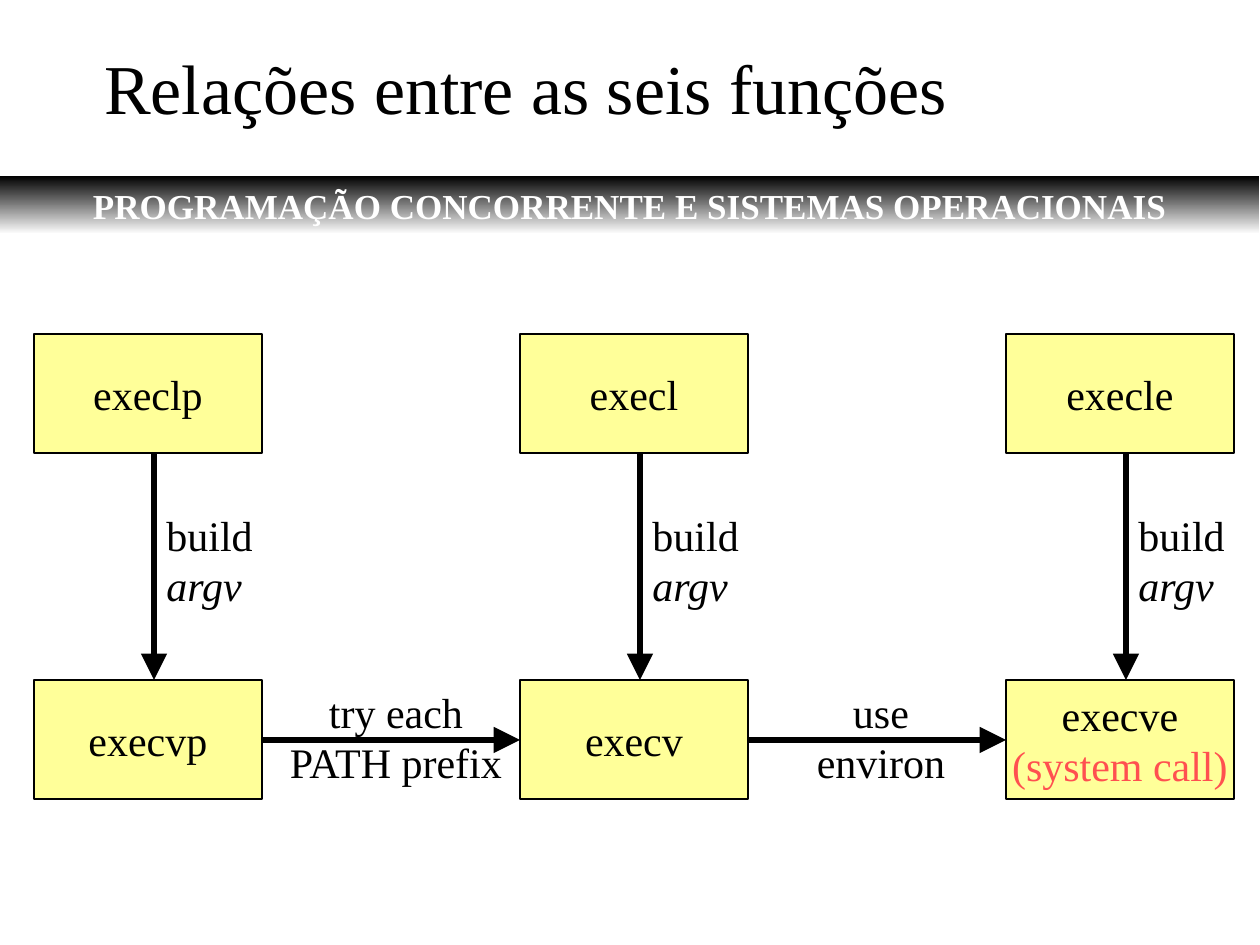
from typing import NamedTuple

from lxml.etree import SubElement
from pptx import Presentation
from pptx.dml.color import RGBColor
from pptx.enum.shapes import MSO_CONNECTOR, MSO_SHAPE
from pptx.enum.text import MSO_ANCHOR, PP_ALIGN
from pptx.oxml.ns import qn
from pptx.util import Emu, Pt

PX_PER_INCH = 126
FONT = "Times New Roman"
BLACK, WHITE, YELLOW, RED = "000000", "FFFFFF", "FFFF99", "FF5050"
COLUMN_LEFT, COLUMN_STEP = 34, 486
CALL_WIDTH, CALL_HEIGHT = 228, 119
UPPER_TOP, LOWER_TOP = 334, 680
BUILD_OFFSET = 120


class Line(NamedTuple):
    text: str
    color: str = BLACK
    size: int = 24
    bold: bool = False
    italic: bool = False


class Box(NamedTuple):
    left: int
    top: int
    width: int
    height: int


class Call(NamedTuple):
    column: int
    top: int
    lines: list[Line]


class Step(NamedTuple):
    column: int
    label: Box
    lines: list[Line]


def px(length: int) -> Emu:
    return Emu(round(length * 914400 / PX_PER_INCH))


def rgb(color: str) -> RGBColor:
    return RGBColor.from_string(color)


def column_left(column: int) -> int:
    return COLUMN_LEFT + column * COLUMN_STEP


def write(frame, lines: list[Line], align: PP_ALIGN, anchor: MSO_ANCHOR) -> None:
    frame.word_wrap = False
    frame.vertical_anchor = anchor
    for index, line in enumerate(lines):
        paragraph = frame.paragraphs[0] if index == 0 else frame.add_paragraph()
        paragraph.text = line.text
        paragraph.alignment = align
        paragraph.line_spacing = Pt(line.size * 1.2)
        paragraph.font.name = FONT
        paragraph.font.size = Pt(line.size)
        paragraph.font.bold = line.bold
        paragraph.font.italic = line.italic
        paragraph.font.color.rgb = rgb(line.color)


def add_label(slide, box: Box, lines: list[Line], align=PP_ALIGN.LEFT, anchor=MSO_ANCHOR.TOP) -> None:
    label = slide.shapes.add_textbox(*map(px, box))
    write(label.text_frame, lines, align, anchor)


def add_band(slide, box: Box) -> None:
    band = slide.shapes.add_shape(MSO_SHAPE.RECTANGLE, *map(px, box))
    band.shadow.inherit = False
    band.line.fill.background()
    band.fill.gradient()
    band.fill.gradient_angle = 270
    for stop, color in zip(band.fill.gradient_stops, (BLACK, WHITE)):
        stop.color.rgb = rgb(color)


def add_call(slide, call: Call) -> None:
    box = Box(column_left(call.column), call.top, CALL_WIDTH, CALL_HEIGHT)
    rectangle = slide.shapes.add_shape(MSO_SHAPE.RECTANGLE, *map(px, box))
    rectangle.shadow.inherit = False
    rectangle.fill.solid()
    rectangle.fill.fore_color.rgb = rgb(YELLOW)
    rectangle.line.color.rgb = rgb(BLACK)
    rectangle.line.width = Pt(0.75)
    write(rectangle.text_frame, call.lines, PP_ALIGN.CENTER, MSO_ANCHOR.MIDDLE)


def add_arrow(slide, x1: int, y1: int, x2: int, y2: int) -> None:
    arrow = slide.shapes.add_connector(MSO_CONNECTOR.STRAIGHT, *map(px, (x1, y1, x2, y2)))
    arrow.line.color.rgb = rgb(BLACK)
    arrow.line.width = Pt(3)
    SubElement(arrow.line._get_or_add_ln(), qn("a:tailEnd"), type="triangle", w="lg", len="lg")
    SubElement(arrow._element.spPr, qn("a:effectLst"))


CALLS = [
    Call(0, UPPER_TOP, [Line("execlp")]),
    Call(1, UPPER_TOP, [Line("execl")]),
    Call(2, UPPER_TOP, [Line("execle")]),
    Call(0, LOWER_TOP, [Line("execvp")]),
    Call(1, LOWER_TOP, [Line("execv")]),
    Call(2, LOWER_TOP, [Line("execve"), Line("(system call)", RED)]),
]
STEPS = [
    Step(0, Box(273, 680, 246, 113), [Line("try each"), Line("PATH prefix")]),
    Step(1, Box(804, 680, 154, 113), [Line("use"), Line("environ")]),
]
BUILD = [Line("build"), Line("argv", italic=True)]


def main() -> None:
    presentation = Presentation()
    presentation.slide_width, presentation.slide_height = px(1260), px(945)
    slide = presentation.slides.add_slide(presentation.slide_layouts[6])

    add_band(slide, Box(0, 176, 1259, 58))
    add_label(
        slide,
        Box(59, 178, 1120, 55),
        [Line("PROGRAMAÇÃO CONCORRENTE E SISTEMAS OPERACIONAIS", WHITE, 20, bold=True)],
        PP_ALIGN.RIGHT,
        MSO_ANCHOR.MIDDLE,
    )
    add_label(slide, Box(92, 38, 870, 97), [Line("Relações entre as seis funções", size=40)])

    for call in CALLS:
        add_call(slide, call)
    for column in range(3):
        x = column_left(column) + BUILD_OFFSET
        add_arrow(slide, x, UPPER_TOP + CALL_HEIGHT, x, LOWER_TOP)
        add_label(slide, Box(x, 503, 122, 113), BUILD)
    for step in STEPS:
        y = LOWER_TOP + CALL_HEIGHT // 2 + 1
        add_arrow(slide, column_left(step.column) + CALL_WIDTH, y, column_left(step.column + 1), y)
        add_label(slide, step.label, step.lines, PP_ALIGN.CENTER)

    presentation.save("out.pptx")


if __name__ == "__main__":
    main()
